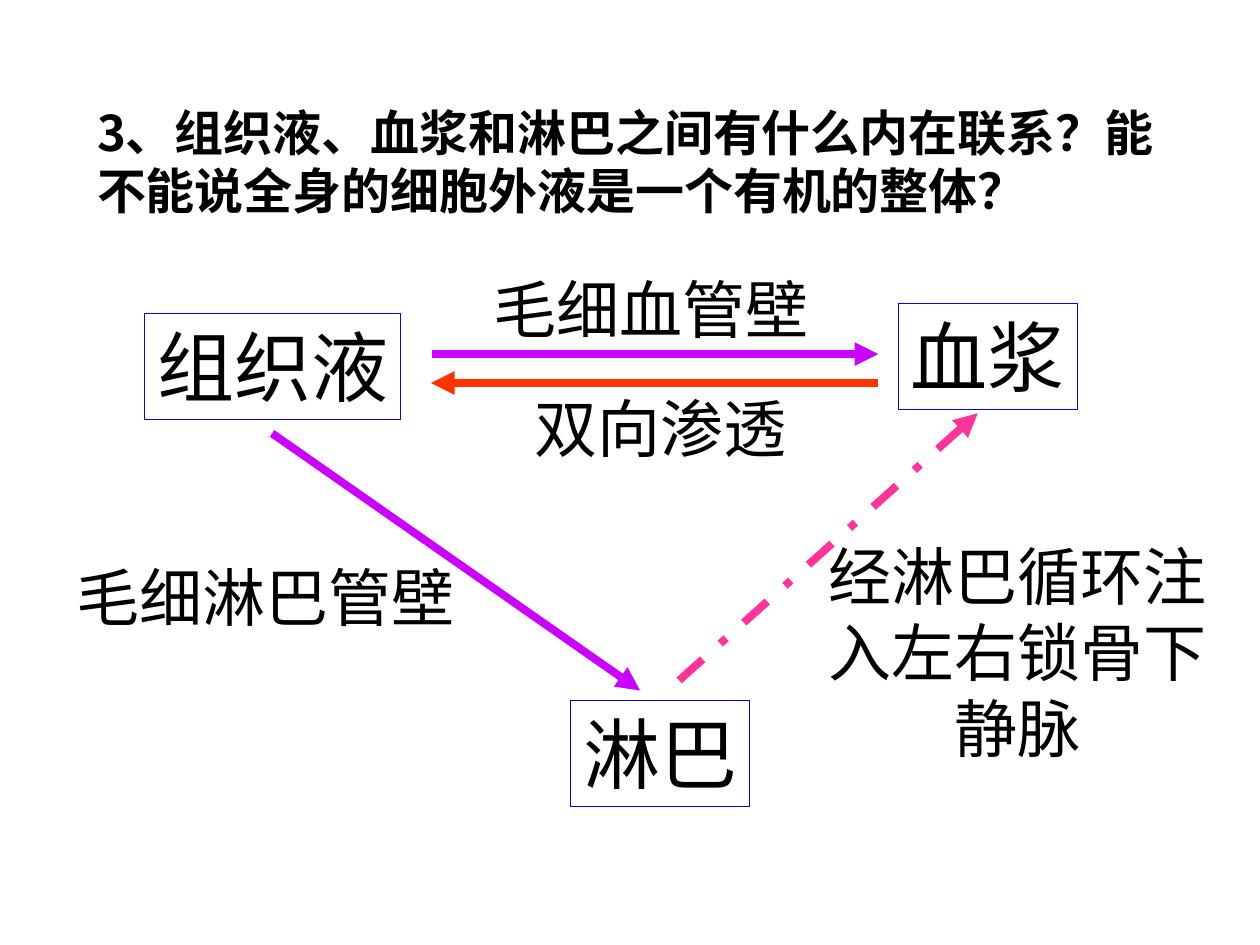
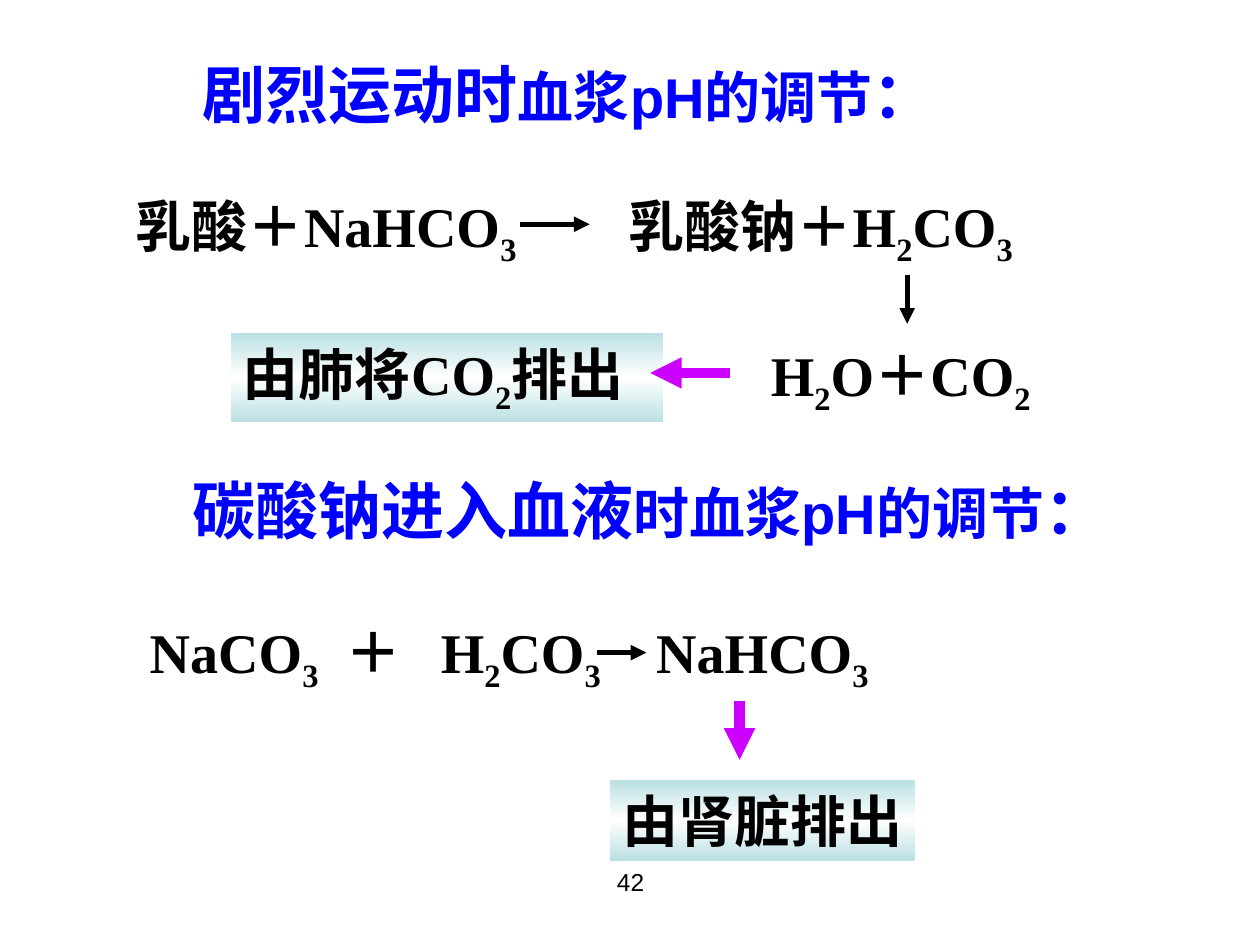
import copy

import pptx
import pptx.dml.color
import pptx.enum.dml
import pptx.enum.shapes
import pptx.enum.text
import pptx.oxml
import pptx.oxml.ns
import pptx.util

Inches, Pt = pptx.util.Inches, pptx.util.Pt
qn = pptx.oxml.ns.qn
ALIGN = pptx.enum.text.PP_ALIGN

# Shared look
BLACK, BLUE, WHITE, TEAL = "000000", "0000FF", "FFFFFF", "BBE0E3"
VIOLET, RED, PINK = "CC00FF", "FF3300", "FF3399"
HAN, SANS, SERIF = "Noto Sans CJK SC", "Arial", "Times New Roman"
PLAIN, DEEP = 1.2, 1.37  # line height, without and with subscripts


def rgb(code):
    return pptx.dml.color.RGBColor.from_string(code)


def style(font, size, face, color, bold):
    """Set a font, with the Han face for Chinese characters."""
    font.size, font.name, font.bold = Pt(size), face, bold
    font.color.rgb = rgb(color)
    props = font._element
    han = props.makeelement(qn("a:ea"), {"typeface": HAN})
    props.find(qn("a:latin")).addnext(han)


def set_tabs(para, stops):
    props = para._p.get_or_add_pPr()
    tabs = pptx.oxml.parse_xml(
        '<a:tabLst xmlns:a="http://schemas.openxmlformats.org/'
        'drawingml/2006/main"/>')
    for stop in stops:
        tabs.append(tabs.makeelement(
            qn("a:tab"), {"pos": str(Inches(stop)), "algn": "l"}))
    props.append(tabs)


def set_frame(shape, wrap):
    frame = shape.text_frame
    frame.word_wrap = wrap
    frame.auto_size = pptx.enum.text.MSO_AUTO_SIZE.NONE
    frame.vertical_anchor = pptx.enum.text.MSO_ANCHOR.TOP
    return frame.paragraphs[0]


def write(shape, text, size, face=SANS, color=BLACK, bold=False,
          wrap=False, align=ALIGN.LEFT, tabs=()):
    """Write one paragraph; the character after each _ is a subscript."""
    para = set_frame(shape, wrap)
    para.alignment = align
    para.line_spacing = Pt(round(size * (DEEP if "_" in text else PLAIN), 1))
    if tabs:
        set_tabs(para, tabs)
    style(para.font, size, face, color, bold)
    first, *rest = text.split("_")
    para.add_run().text = first
    for part in rest:
        low = para.add_run()
        low.text = part[0]
        low.font._element.set("baseline", "-25000")
        if part[1:]:
            para.add_run().text = part[1:]


def label(slide, x, y, w, h, text, size, **look):
    box = slide.shapes.add_textbox(Inches(x), Inches(y), Inches(w), Inches(h))
    write(box, text, size, **look)


def block(slide, x, y, w, h):
    box = slide.shapes.add_shape(
        pptx.enum.shapes.MSO_SHAPE.RECTANGLE,
        Inches(x), Inches(y), Inches(w), Inches(h))
    box.shadow.inherit = False
    return box


def arrow(slide, x1, y1, x2, y2, color, width, dash=None):
    line = slide.shapes.add_connector(
        pptx.enum.shapes.MSO_CONNECTOR.STRAIGHT,
        Inches(x1), Inches(y1), Inches(x2), Inches(y2))
    line.line.color.rgb = rgb(color)
    line.line.width = Pt(width)
    if dash:
        line.line.dash_style = dash
    stroke = line.line._get_or_add_ln()
    stroke.append(stroke.makeelement(qn("a:tailEnd"), {"type": "triangle"}))
    props = stroke.getparent()
    props.append(props.makeelement(qn("a:effectLst"), {}))


def new_slide(deck, x, y, w, h):
    """Add a slide and move its title to the given box."""
    slide = deck.slides.add_slide(deck.slide_layouts[5])
    title = slide.shapes.title
    title.left, title.top = Inches(x), Inches(y)
    title.width, title.height = Inches(w), Inches(h)
    return slide


# Slide 1: exchange between the body fluids
def node(slide, x, y, w, text):
    box = block(slide, x, y, w, 0.84)
    box.fill.background()
    box.line.color.rgb = rgb(BLUE)
    box.line.width = Pt(0.75)
    write(box, text, 44)


def fluid_map(slide, x, y):
    node(slide, x + 0.64, y + 0.39, 2.03, "组织液")
    node(slide, x + 6.62, y + 0.31, 1.42, "血浆")
    node(slide, x + 4.02, y + 3.46, 1.42, "淋巴")

    dash = pptx.enum.dml.MSO_LINE.DASH_DOT
    for x1, y1, x2, y2, color, kind in (
            (2.92, 0.71, 6.46, 0.71, VIOLET, None),
            (6.46, 0.94, 2.91, 0.94, RED, None),
            (1.65, 1.34, 4.57, 3.38, VIOLET, None),
            (4.88, 3.3, 7.25, 1.18, PINK, dash)):
        arrow(slide, x + x1, y + y1, x + x2, y + y2, color, 4.5, kind)

    for left, top, w, text in (
            (3.31, 0, 2.7, "毛细血管壁"),
            (0, 2.28, 3.2, "毛细淋巴管壁"),
            (3.63, 0.94, 2.2, "双向渗透")):
        label(slide, x + left, y + top, w, 0.7, text, 36)
    label(slide, x + 5.91, y + 2.12, 3.31, 1.9,
          "经淋巴循环注入左右锁骨下静脉", 36, wrap=True, align=ALIGN.CENTER)


def fluids(deck):
    slide = new_slide(deck, 0.67, 0.76, 8.59, 1.04)
    write(slide.shapes.title,
          "3、组织液、血浆和淋巴之间有什么内在联系？"
          "能不能说全身的细胞外液是一个有机的整体？",
          28, face=HAN, bold=True, wrap=True)
    fluid_map(slide, 0.51, 2.1)


# Slide 2: keeping the pH of plasma steady
def heading(shape, lead, rest):
    para = set_frame(shape, False)
    para.alignment = ALIGN.LEFT
    para.line_spacing = Pt(43.2)
    for text, size, face in (
            (lead, 36, SERIF), (rest, 32, SANS), ("：", 36, SERIF)):
        run = para.add_run()
        run.text = text
        style(run.font, size, face, BLUE, True)


def formula(slide, x, y, w, text, tabs=()):
    label(slide, x, y, w, 0.71, text, 32,
          face=SERIF, bold=True, wrap=True, tabs=tabs)


def outcome(slide, x, y, w, h, text):
    box = block(slide, x, y, w, h)
    box.line.fill.background()
    box.fill.gradient()
    box.fill.gradient_angle = 90
    stops = box.element.spPr.find(".//" + qn("a:gsLst"))
    stops.insert(1, copy.deepcopy(stops[0]))
    for stop, place, color in zip(
            box.fill.gradient_stops, (0, 0.5, 1), (TEAL, WHITE, TEAL)):
        stop.color.rgb = rgb(color)
        stop.position = place
    write(box, text, 32, face=SERIF, bold=True)


def acid_case(slide, x, y):
    formula(slide, x, y, 7.64, "乳酸＋NaHCO_3\t乳酸钠＋H_2CO_3", [3.91])
    arrow(slide, x + 3.15, y + 0.31, x + 3.7, y + 0.31, BLACK, 3)
    arrow(slide, x + 6.22, y + 0.71, x + 6.22, y + 1.1, BLACK, 3)
    formula(slide, x + 5.04, y + 1.18, 2.76, "H_2O＋CO_2")
    outcome(slide, x + 0.85, y + 1.17, 3.43, 0.71, "由肺将CO_2排出")
    arrow(slide, x + 4.81, y + 1.49, x + 4.18, y + 1.49, VIOLET, 6)


def base_case(slide, x, y):
    formula(slide, x, y, 6.2, "NaCO_3\t＋\tH_2CO_3\tNaHCO_3",
            [1.55, 2.31, 4.02])
    arrow(slide, x + 3.65, y + 0.33, x + 4.04, y + 0.33, BLACK, 3)
    outcome(slide, x + 3.75, y + 1.34, 2.42, 0.64, "由肾脏排出")
    arrow(slide, x + 4.78, y + 0.71, x + 4.78, y + 1.18, VIOLET, 6)


def balance(deck):
    slide = new_slide(deck, 1.51, 0.39, 6.23, 0.7)
    heading(slide.shapes.title, "剧烈运动时", "血浆pH的调节")
    acid_case(slide, 0.98, 1.47)
    second = slide.shapes.add_textbox(
        Inches(1.43), Inches(3.69), Inches(7.67), Inches(0.7))
    heading(second, "碳酸钠进入血液", "时血浆pH的调节")
    base_case(slide, 1.09, 4.85)
    label(slide, 3.42, 6.83, 3.17, 0.52, "42", 14,
          wrap=True, align=ALIGN.CENTER)


def main():
    deck = pptx.Presentation()
    deck.slide_width, deck.slide_height = Inches(10), Inches(7.5)
    fluids(deck)
    balance(deck)
    deck.save("out.pptx")


if __name__ == "__main__":
    main()
